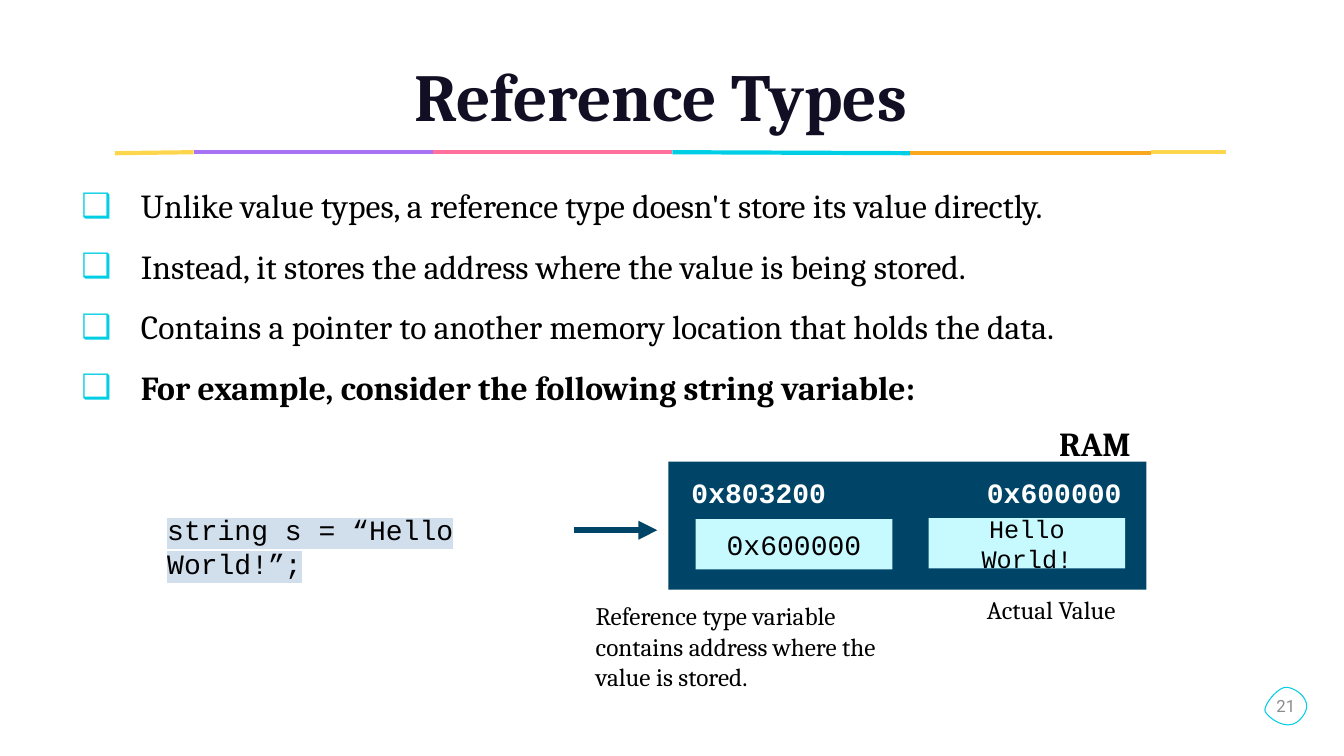
from pptx import Presentation
from pptx.dml.color import RGBColor
from pptx.enum.shapes import MSO_CONNECTOR, MSO_SHAPE
from pptx.enum.text import MSO_ANCHOR, PP_ALIGN
from pptx.oxml.ns import qn
from pptx.util import Inches, Pt
from lxml.etree import SubElement

BLACK = RGBColor(0x00, 0x00, 0x00)
WHITE = RGBColor(0xFF, 0xFF, 0xFF)
INK = RGBColor(0x12, 0x0E, 0x23)
GREY = RGBColor(0x8C, 0x8C, 0x8C)
NAVY = RGBColor(0x00, 0x45, 0x68)
ICE = RGBColor(0xC7, 0xFA, 0xFF)
YELLOW = RGBColor(0xFE, 0xD6, 0x4E)
PURPLE = RGBColor(0xA7, 0x73, 0xF4)
PINK = RGBColor(0xFF, 0x70, 0x9D)
CYAN = RGBColor(0x00, 0xCE, 0xE4)
ORANGE = RGBColor(0xF9, 0xA8, 0x1D)
CODE_TINT = RGBColor(0xD1, 0xDE, 0xEC)
SERIF, MONO = "Cambria", "Courier New"

prs = Presentation()
prs.slide_width, prs.slide_height = Inches(13.33), Inches(7.5)
s = prs.slides.add_slide(prs.slide_layouts[6])


def add_line(x1, y1, x2, y2, color, width):
    line = s.shapes.add_connector(MSO_CONNECTOR.STRAIGHT, Inches(x1), Inches(y1), Inches(x2), Inches(y2))
    line.line.color.rgb = color
    line.line.width = Pt(width)
    SubElement(line._element.spPr, qn("a:effectLst"))
    return line


def write(p, text, font, size, color=BLACK, bold=False):
    r = p.add_run()
    r.text = text
    r.font.color.rgb = color
    for name, value in {"name": font, "size": Pt(size), "bold": bold}.items():
        setattr(r.font, name, value)
    return r


# Coloured rule under the title
rule = [
    (1.14, 1.52, 1.51, YELLOW),
    (1.92, 1.51, 1.51, PURPLE),
    (4.29, 1.51, 1.51, PINK),
    (6.67, 1.51, 1.52, CYAN),
    (9.03, 1.52, 1.52, ORANGE),
    (11.42, 1.51, 1.51, YELLOW),
]
ends = [x for x, *rest in rule[1:]] + [12.16]
for (x, y1, y2, color), end in zip(rule, ends):
    add_line(x, y1, end, y2, color, 3)

# Title
tf = s.shapes.add_textbox(Inches(0.71), Inches(0.5), Inches(11.84), Inches(0.89)).text_frame
tf.word_wrap = True
tf.vertical_anchor = MSO_ANCHOR.BOTTOM
p = tf.paragraphs[0]
p.alignment = PP_ALIGN.CENTER
p.line_spacing = 1.7
write(p, "Reference Types ", SERIF, 48, INK, True)

# Bullets
bullets = [
    ("Unlike value types, a reference type doesn't store its value directly.", False),
    ("Instead, it stores the address where the value is being stored.", False),
    ("Contains a pointer to another memory location that holds the data.", False),
    ("For example, consider the following string variable:", True),
]
tf = s.shapes.add_textbox(Inches(0.71), Inches(1.59), Inches(12.34), Inches(4.7)).text_frame
tf.word_wrap = True
for i, (text, bold) in enumerate(bullets):
    p = tf.add_paragraph() if i else tf.paragraphs[0]
    p.line_spacing = 1.5
    pPr = p._p.get_or_add_pPr()
    pPr.set("marL", str(Inches(0.59)))
    pPr.set("indent", str(-Inches(0.59)))
    SubElement(SubElement(pPr, qn("a:buClr")), qn("a:srgbClr"), val=str(CYAN))
    SubElement(pPr, qn("a:buFont"), typeface="Wingdings 2")
    SubElement(pPr, qn("a:buChar"), char="❑")
    pPr.find(qn("a:buFont")).set("typeface", "Arial")
    write(p, text, SERIF, 24, BLACK, bold)

# Page number badge, its outline sampled from cubic curves
start = (12.77, 6.82)
curves = [
    ((12.86, 6.83), (13.05, 6.96), (12.91, 7.12)),
    ((12.78, 7.29), (12.57, 7.11), (12.55, 7.06)),
    ((12.52, 7.01), (12.68, 6.8), (12.77, 6.82)),
]
STEPS = 16
outline = []
a = start
for b, c, d in curves:
    for t in (k / STEPS for k in range(1, STEPS + 1)):
        weights = ((1 - t) ** 3, 3 * t * (1 - t) ** 2, 3 * t * t * (1 - t), t ** 3)
        outline.append([Inches(sum(w * v for w, v in zip(weights, axis))) for axis in zip(a, b, c, d)])
    a = d
builder = s.shapes.build_freeform(Inches(start[0]), Inches(start[1]))
builder.add_line_segments(outline, close=True)
badge = builder.convert_to_shape()
badge.shadow.inherit = False
badge.fill.background()
badge.line.color.rgb = CYAN
badge.line.width = Pt(0.75)
tf = badge.text_frame
for side in ("left", "right", "top", "bottom"):
    setattr(tf, f"margin_{side}", 0)
tf.vertical_anchor = MSO_ANCHOR.MIDDLE
p = tf.paragraphs[0]
p.alignment = PP_ALIGN.CENTER
write(p, "21", "Roboto", 12, GREY)

# Memory block and its two cells
blocks = [
    (6.63, 4.58, 4.74, 1.27, NAVY, "", 20),
    (6.9, 5.15, 1.95, 0.5, ICE, "0x600000", 20),
    (9.21, 5.14, 1.95, 0.5, ICE, "Hello World!", 18),
]
for x, y, w, h, color, text, size in blocks:
    sp = s.shapes.add_shape(MSO_SHAPE.RECTANGLE, Inches(x), Inches(y), Inches(w), Inches(h))
    sp.shadow.inherit = False
    sp.fill.solid()
    sp.fill.fore_color.rgb = color
    sp.line.fill.background()
    if text:
        sp.text_frame.vertical_anchor = MSO_ANCHOR.MIDDLE
        p = sp.text_frame.paragraphs[0]
        p.alignment = PP_ALIGN.CENTER
        write(p, text, MONO, size)

# Labels, addresses and code
labels = [
    (10.24, 4.15, 1.24, 0.5, "RAM", SERIF, 24, BLACK, True, PP_ALIGN.CENTER, None),
    (1.56, 5.04, 4.25, 0.44, "string s = “Hello World!”;", MONO, 20, BLACK, False, PP_ALIGN.LEFT, CODE_TINT),
    (6.76, 4.67, 1.6, 0.44, "0x803200", MONO, 20, WHITE, True, PP_ALIGN.LEFT, None),
    (9.69, 4.67, 1.6, 0.44, "0x600000", MONO, 20, WHITE, True, PP_ALIGN.LEFT, None),
    (5.81, 5.91, 3.19, 1.01, "Reference type variable contains address where the value is stored.",
     SERIF, 18, BLACK, False, PP_ALIGN.LEFT, None),
    (9.69, 5.85, 1.84, 0.4, "Actual Value", SERIF, 18, BLACK, False, PP_ALIGN.LEFT, None),
]
for x, y, w, h, text, font, size, color, bold, align, tint in labels:
    tf = s.shapes.add_textbox(Inches(x), Inches(y), Inches(w), Inches(h)).text_frame
    tf.word_wrap = True
    p = tf.paragraphs[0]
    p.alignment = align
    r = write(p, text, font, size, color, bold)
    if tint:
        rPr = r._r.get_or_add_rPr()
        highlight = SubElement(rPr, qn("a:highlight"))
        SubElement(highlight, qn("a:srgbClr"), val=str(tint))
        rPr.find(qn("a:solidFill")).addnext(highlight)

# Arrow from the code to the memory block
arrow = add_line(5.69, 5.26, 6.52, 5.26, NAVY, 4.5)
SubElement(arrow.line._get_or_add_ln(), qn("a:tailEnd"), type="triangle")

prs.save("out.pptx")
